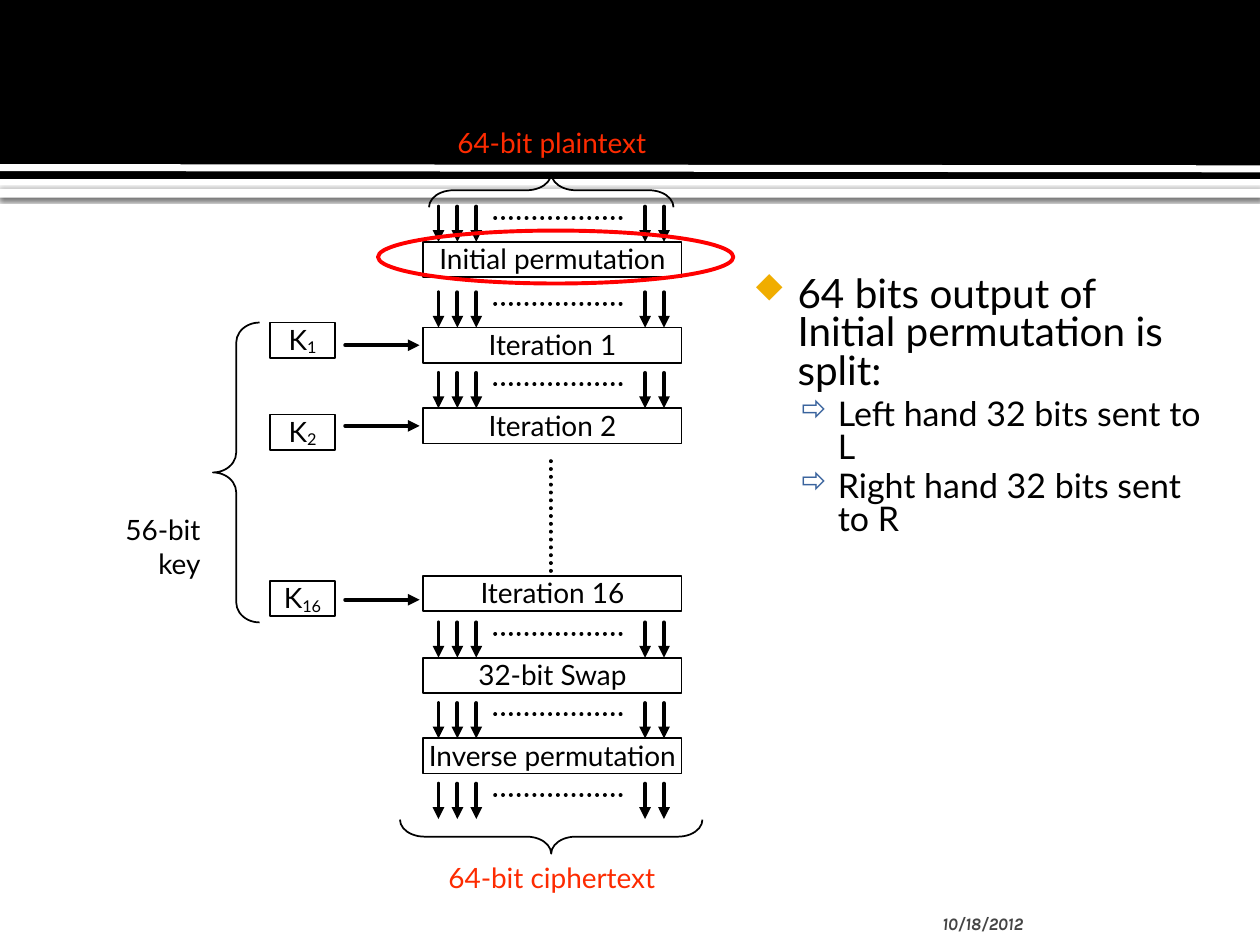
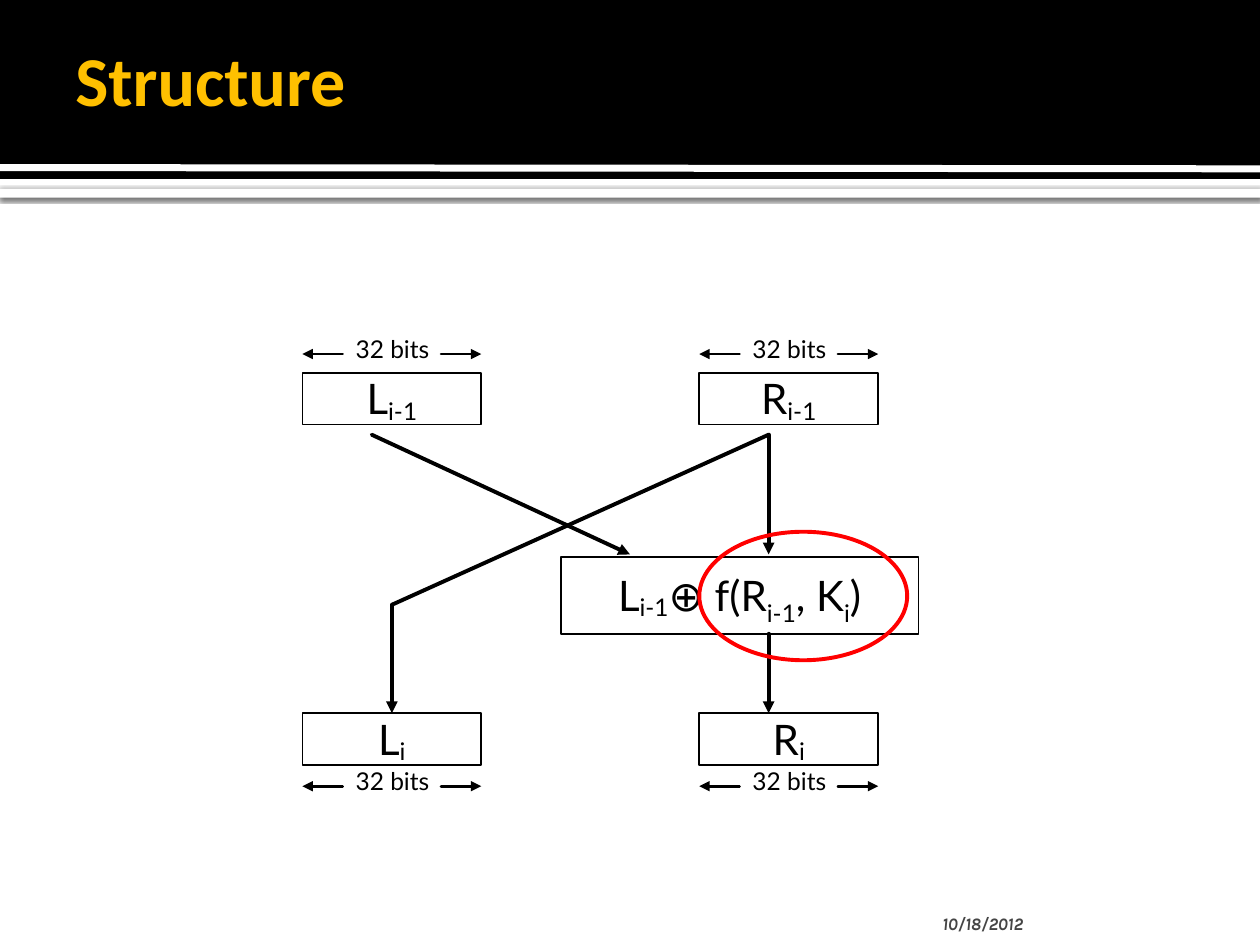
from dataclasses import dataclass

from lxml import etree
from pptx import Presentation
from pptx.dml.color import RGBColor
from pptx.enum.dml import MSO_LINE
from pptx.enum.shapes import MSO_CONNECTOR, MSO_SHAPE
from pptx.enum.text import MSO_ANCHOR, MSO_AUTO_SIZE, PP_ALIGN
from pptx.oxml.ns import qn
from pptx.util import Inches, Pt

RECT, OVAL, BRACE = MSO_SHAPE.RECTANGLE, MSO_SHAPE.OVAL, MSO_SHAPE.LEFT_BRACE
STRAIGHT = MSO_CONNECTOR.STRAIGHT
DOTTED = MSO_LINE.ROUND_DOT
CENTER, RIGHT = PP_ALIGN.CENTER, PP_ALIGN.RIGHT
TOP, MIDDLE, BOTTOM = MSO_ANCHOR.TOP, MSO_ANCHOR.MIDDLE, MSO_ANCHOR.BOTTOM
NO_AUTOSIZE = MSO_AUTO_SIZE.NONE


@dataclass(frozen=True)
class Theme:
    black: str = "000000"
    white: str = "FFFFFF"
    title: str = "FFC000"
    endpoint: str = "FD2B01"
    highlight: str = "FF0000"
    date: str = "454545"
    bullet: str = "F0AD00"
    sub_bullet: str = "39639D"
    body_font: str = "Lato"
    title_font: str = "Calibri"
    date_font: str = "Karla"
    bullet_font: str = "Wingdings"
    title_size: float = 40
    register_size: float = 24
    point_size: float = 23.1
    sub_point_size: float = 19.4
    diagram_size: float = 16
    bits_size: float = 14
    date_size: float = 10
    outline: float = 1
    measure: float = 1.5
    arrow: float = 2.25


THEME = Theme()
SIDE_INSETS = (0.1, 0, 0.1, 0)


def add_xml(parent, tag, **attributes):
    child = etree.SubElement(parent, qn(tag))
    for key, value in attributes.items():
        child.set(key, str(value))
    return child


def add_run(paragraph, text, size, color=THEME.black, font=THEME.body_font, baseline=0):
    run = paragraph.add_run()
    run.text = text
    run.font.size = Pt(size)
    run.font.name = font
    run.font.color.rgb = RGBColor.from_string(color)
    if baseline:
        run._r.get_or_add_rPr().set("baseline", str(baseline * 1000))
    return run


def set_frame(shape, insets, anchor=TOP):
    frame = shape.text_frame
    frame.word_wrap = True
    frame.auto_size = NO_AUTOSIZE
    frame.vertical_anchor = anchor
    frame.margin_left, frame.margin_top, frame.margin_right, frame.margin_bottom = map(Inches, insets)
    return frame


def write(shape, runs, size, color=THEME.black, align=CENTER, insets=SIDE_INSETS):
    paragraph = set_frame(shape, insets).paragraphs[0]
    paragraph.alignment = align
    for text, baseline in runs:
        add_run(paragraph, text, size, color, baseline=baseline)


def add_textbox(slide, box):
    return slide.shapes.add_textbox(*map(Inches, box))


def add_label(slide, box, text, size, color=THEME.black, align=CENTER, insets=SIDE_INSETS):
    write(add_textbox(slide, box), [(text, 0)], size, color, align, insets)


def add_outline(slide, kind, box, color=THEME.black, width=THEME.outline):
    shape = slide.shapes.add_shape(kind, *map(Inches, box))
    shape.shadow.inherit = False
    shape.fill.background()
    shape.line.color.rgb = RGBColor.from_string(color)
    shape.line.width = Pt(width)
    return shape


def add_box(slide, box, runs, size, insets=SIDE_INSETS):
    write(add_outline(slide, RECT, box), runs, size, insets=insets)


def add_brace(slide, box, curve, rotation=0):
    brace = add_outline(slide, BRACE, box)
    brace.adjustments[0] = curve
    brace.rotation = rotation


def add_highlight(slide, box):
    add_outline(slide, OVAL, box, THEME.highlight, THEME.arrow)


def add_line(slide, start, end, width=THEME.arrow, color=THEME.black, head=False, dotted=False):
    line = slide.shapes.add_connector(STRAIGHT, *map(Inches, (*start, *end)))
    line.line.color.rgb = RGBColor.from_string(color)
    line.line.width = Pt(width)
    if dotted:
        line.line.dash_style = DOTTED
    stroke = line.line._get_or_add_ln()
    stroke.set("cap", "rnd")
    if head:
        add_xml(stroke, "a:tailEnd", type="triangle")
    add_xml(line._element.spPr, "a:effectLst")


def add_band(slide, box, color):
    band = slide.shapes.add_shape(RECT, *map(Inches, box))
    band.shadow.inherit = False
    band.fill.solid()
    band.fill.fore_color.rgb = RGBColor.from_string(color)
    band.line.fill.background()
    return band


def add_header(slide, width):
    rule = add_band(slide, (0, 1.5, width, 0.07), THEME.white)
    effects = rule._element.spPr.find(qn("a:effectLst"))
    shadow = add_xml(effects, "a:outerShdw", blurRad=Pt(2.5), dist=Pt(0.8),
                     dir=5400000, algn="tl", rotWithShape=0)
    add_xml(add_xml(shadow, "a:srgbClr", val=THEME.black), "a:alpha", val=60000)
    add_band(slide, (0, 0, width, 1.42), THEME.black)
    add_line(slide, (0, 1.33), (width, 1.34), 4, THEME.white)


def add_title(slide, box, text):
    frame = set_frame(add_textbox(slide, box), (0.1, 0.05, 0.05, 0.05), MIDDLE)
    title = add_run(frame.paragraphs[0], text, THEME.title_size, THEME.title, THEME.title_font)
    title.font.bold = True


def add_date(slide, box, text):
    frame = set_frame(add_textbox(slide, box), (0.12, 0.05, 0.05, 0), BOTTOM)
    date = add_run(frame.paragraphs[0], text, THEME.date_size, THEME.date, THEME.date_font)
    date.font.bold = True
    date.font.italic = True


def add_points(slide, box, points):
    levels = [
        (0.48, -0.35, "u", THEME.bullet, 80, THEME.point_size, 0),
        (0.8, -0.3, "ð", THEME.sub_bullet, 90, THEME.sub_point_size, 4),
    ]
    frame = set_frame(add_textbox(slide, box), (0.06, 0.1, 0.1, 0.05))
    for index, (level, text) in enumerate(points):
        margin, indent, mark, color, scale, size, before = levels[level]
        paragraph = frame.add_paragraph() if index else frame.paragraphs[0]
        paragraph.level = level
        paragraph.line_spacing = 0.8
        if index:
            paragraph.space_before = Pt(before)
        properties = paragraph._p.get_or_add_pPr()
        properties.set("marL", str(Inches(margin)))
        properties.set("indent", str(Inches(indent)))
        add_xml(add_xml(properties, "a:buClr"), "a:srgbClr", val=color)
        add_xml(properties, "a:buSzPct", val=scale * 1000)
        add_xml(properties, "a:buFont", typeface=THEME.bullet_font, pitchFamily=2, charset=2)
        add_xml(properties, "a:buChar", char=mark)
        add_run(paragraph, text, size)


def add_bit_arrows(slide, left, top):
    for offset in (0.12, 0.27, 0.42, 1.76, 1.91):
        add_line(slide, (left + offset, top), (left + offset, top + 0.28), head=True)
    add_line(slide, (left + 0.57, top + 0.09), (left + 1.61, top + 0.09), dotted=True)


def add_cipher_stages(slide, box):
    left, top, width, height = box
    middle = left + 1.01
    stages = [
        ("Initial permutation", 0.92, True),
        ("Iteration 1", 1.6, True),
        ("Iteration 2", 2.24, True),
        ("Iteration 16", 3.57, False),
        ("32-bit Swap", 4.22, True),
        ("Inverse permutation", 4.86, True),
    ]
    for name, offset, has_arrows in stages:
        insets = (0, 0, 0, 0) if name == "Inverse permutation" else SIDE_INSETS
        add_box(slide, (left, top + offset, width, 0.28), [(name, 0)], THEME.diagram_size, insets)
        if has_arrows:
            add_bit_arrows(slide, left, top + offset - 0.28)
    add_bit_arrows(slide, left, top + 5.22)
    add_line(slide, (middle, top + 2.66), (middle, top + 3.57), dotted=True)

    ends = [("64-bit plaintext", 0, 0.51, 1.94, 90),
            ("64-bit ciphertext", height - 0.27, 5.64, 2.4, 270)]
    for name, label_top, brace_middle, span, rotation in ends:
        add_label(slide, (left + 0.05, top + label_top, 1.94, 0.27), name,
                  THEME.diagram_size, THEME.endpoint)
        add_brace(slide, (middle - 0.13, top + brace_middle - span / 2, 0.27, span), 0.72, rotation)
    add_highlight(slide, (left - 0.36, top + 0.83, 2.82, 0.42))


def add_key_schedule(slide, box):
    left, top, width, height = box
    add_label(slide, (left, top + 1.46, 1.18, 0.6), "56-bit key", THEME.diagram_size,
              align=RIGHT, insets=(0.1, 0.05, 0.1, 0.05))
    add_brace(slide, (left + 1.18, top, 0.37, height), 0.43)
    for index, key_offset, arrow_offset in (("1", 0, 0.18), ("2", 0.73, 0.82), ("16", 2.05, 2.2)):
        add_box(slide, (left + 1.63, top + key_offset, 0.52, 0.28),
                [("K", 0), (index, -12)], THEME.diagram_size)
        arrow_top = top + arrow_offset
        add_line(slide, (left + 2.23, arrow_top), (left + width, arrow_top), head=True)


def add_register(slide, box, half, index, bits_offset):
    left, top, width, height = box
    add_box(slide, box, [(half, 0), (index, -12)], THEME.register_size)
    bits_top = top + bits_offset
    measure = bits_top + 0.16
    right = left + width
    add_line(slide, (right - 0.32, measure), (right, measure), THEME.measure, head=True)
    add_line(slide, (left + 0.32, measure), (left, measure), THEME.measure, head=True)
    add_label(slide, (left + 0.24, bits_top, 0.95, 0.23), "32 bits", THEME.bits_size)


def add_round(slide, box):
    left, top, width, height = box
    for column, half in ((left, "L"), (left + 3.15, "R")):
        for row, index, bits_offset in ((top, "i-1", -0.31), (top + 2.7, "i", 0.42)):
            add_register(slide, (column, row, 1.42, 0.41), half, index, bits_offset)

    formula = [("L", 0), ("i-1", -12), ("⊕ f(R", 0), ("i-1", -25), (", K", 0), ("i", -25), (")", 0)]
    add_box(slide, (left + 2.05, top + 1.46, 2.84, 0.61), formula,
            THEME.register_size, (0.1, 0.1, 0.1, 0.1))

    flows = [
        ((3.7, 0.49), (3.7, 1.44), True),
        ((3.7, 2.07), (3.7, 2.7), True),
        ((0.55, 0.49), (2.6, 1.44), True),
        ((3.7, 0.49), (0.71, 1.84), False),
        ((0.71, 1.84), (0.71, 2.7), True),
    ]
    for (x1, y1), (x2, y2), head in flows:
        add_line(slide, (left + x1, top + y1), (left + x2, top + y2), head=head)
    add_highlight(slide, (left + 3.15, top + 1.26, 1.65, 1.02))


def add_base_slide(deck):
    slide = deck.slides.add_slide(deck.slide_layouts[6])
    add_header(slide, deck.slide_width.inches)
    add_date(slide, (7.36, 7.01, 2.1, 0.4), "10/18/2012")
    return slide


def build_overview(deck):
    slide = add_base_slide(deck)
    add_points(slide, (5.79, 2.1, 3.86, 1.73), [
        (0, "64 bits output of Initial permutation is split:"),
        (1, "Left hand 32 bits sent to L"),
        (1, "Right hand 32 bits sent to R"),
    ])
    add_key_schedule(slide, (0.51, 2.56, 2.82, 2.38))
    add_cipher_stages(slide, (3.36, 1, 2.05, 6.1))


def build_structure(deck):
    slide = add_base_slide(deck)
    add_title(slide, (0.5, 0.08, 8.25, 1.08), "Structure")
    add_round(slide, (2.4, 2.96, 4.89, 3.11))


def main():
    deck = Presentation()
    deck.slide_width, deck.slide_height = Inches(10), Inches(7.5)
    build_overview(deck)
    build_structure(deck)
    deck.save("out.pptx")


if __name__ == "__main__":
    main()
